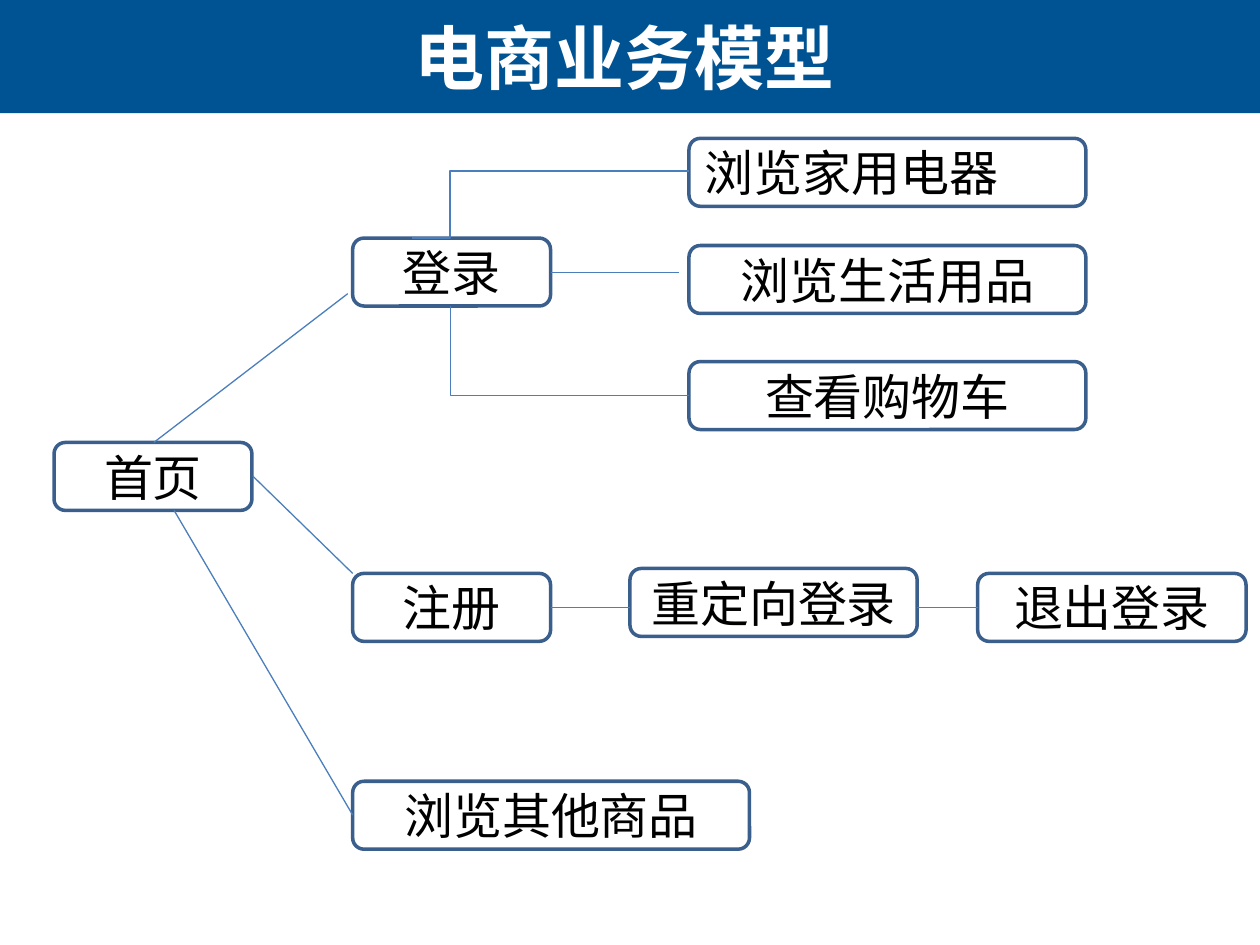
"""Build a slide that maps the pages of an online shop."""
from lxml import etree
from pptx import Presentation
from pptx.dml.color import RGBColor
from pptx.enum.shapes import MSO_CONNECTOR, MSO_SHAPE
from pptx.enum.text import MSO_ANCHOR, PP_ALIGN
from pptx.oxml.ns import qn
from pptx.util import Cm, Pt

RECT, ROUND = MSO_SHAPE.RECTANGLE, MSO_SHAPE.ROUNDED_RECTANGLE
STRAIGHT, ELBOW = MSO_CONNECTOR.STRAIGHT, MSO_CONNECTOR.ELBOW
LEFT, CENTER = PP_ALIGN.LEFT, PP_ALIGN.CENTER
MIDDLE = MSO_ANCHOR.MIDDLE
HIGH = 1.37
SMALL, MID, WIDE = 3.99, 5.79, 8.0
COL1, COL2, COL3 = 1.09, 7.11, 13.89


def color(code):
    return RGBColor.from_string(code)


def write(shape, text, face, size, code, align=CENTER):
    frame = shape.text_frame
    frame.word_wrap = True
    frame.vertical_anchor = MIDDLE
    para = frame.paragraphs[0]
    para.text = text
    para.alignment = align
    para.font.name = face
    para.font.size = Pt(size)
    para.font.color.rgb = color(code)
    return para


deck = Presentation()
deck.slide_width, deck.slide_height = Cm(25.4), Cm(19.05)
slide = deck.slides.add_slide(deck.slide_layouts[6])
shapes = slide.shapes

band = shapes.add_shape(RECT, 0, 0, Cm(25.4), Cm(2.28))
band.shadow.inherit = False
band.fill.solid()
band.fill.fore_color.rgb = color("005392")
band.line.fill.background()
title = shapes.add_textbox(Cm(0.05), 0, Cm(25.07), Cm(2.28))
write(title, "电商业务模型", "Arial", 40, "FFFFFF").font.bold = True

pages = [
    ("首页", COL1, 8.92, SMALL, CENTER),
    ("登录", COL2, 4.8, SMALL, CENTER),
    ("注册", COL2, 11.56, SMALL, CENTER),
    ("浏览其他商品", COL2, 15.75, WIDE, CENTER),
    ("浏览家用电器", COL3, 2.79, WIDE, LEFT),
    ("浏览生活用品", COL3, 4.95, WIDE, CENTER),
    ("查看购物车", COL3, 7.29, WIDE, CENTER),
    ("重定向登录", 12.7, 11.46, MID, CENTER),
    ("退出登录", 19.71, 11.56, 5.41, CENTER),
]
for text, x, y, width, align in pages:
    box = shapes.add_shape(ROUND, Cm(x), Cm(y), Cm(width), Cm(HIGH))
    box.shadow.inherit = False
    box.fill.background()
    box.line.color.rgb = color("3A5F8C")
    box.line.width = Pt(2)
    write(box, text, "Calibri", 28, "000000", align)

links = [
    (7.01, 5.92, 3.1, 8.92, None),
    (3.51, 10.29, COL2, 16.43, None),
    (5.1, 9.6, COL2, 11.56, None),
    (COL3, 3.45, 8.31, 4.8, 86300),
    (11.1, 5.49, 13.69, 5.49, None),
    (COL3, 7.98, 9.09, 6.17, 100000),
    (11.1, 12.24, 12.7, 12.24, None),
    (18.49, 12.24, 19.71, 12.24, None),
]
for x1, y1, x2, y2, bend in links:
    kind = ELBOW if bend else STRAIGHT
    link = shapes.add_connector(kind, Cm(x1), Cm(y1), Cm(x2), Cm(y2))
    link.line.color.rgb = color("4B7EBC")
    link.line.width = Pt(0.75)
    props = link._element.spPr
    etree.SubElement(props, qn("a:effectLst"))
    if bend:
        guides = props.find(".//" + qn("a:avLst"))
        etree.SubElement(guides, qn("a:gd"), name="adj1", fmla=f"val {bend}")

deck.save("out.pptx")
